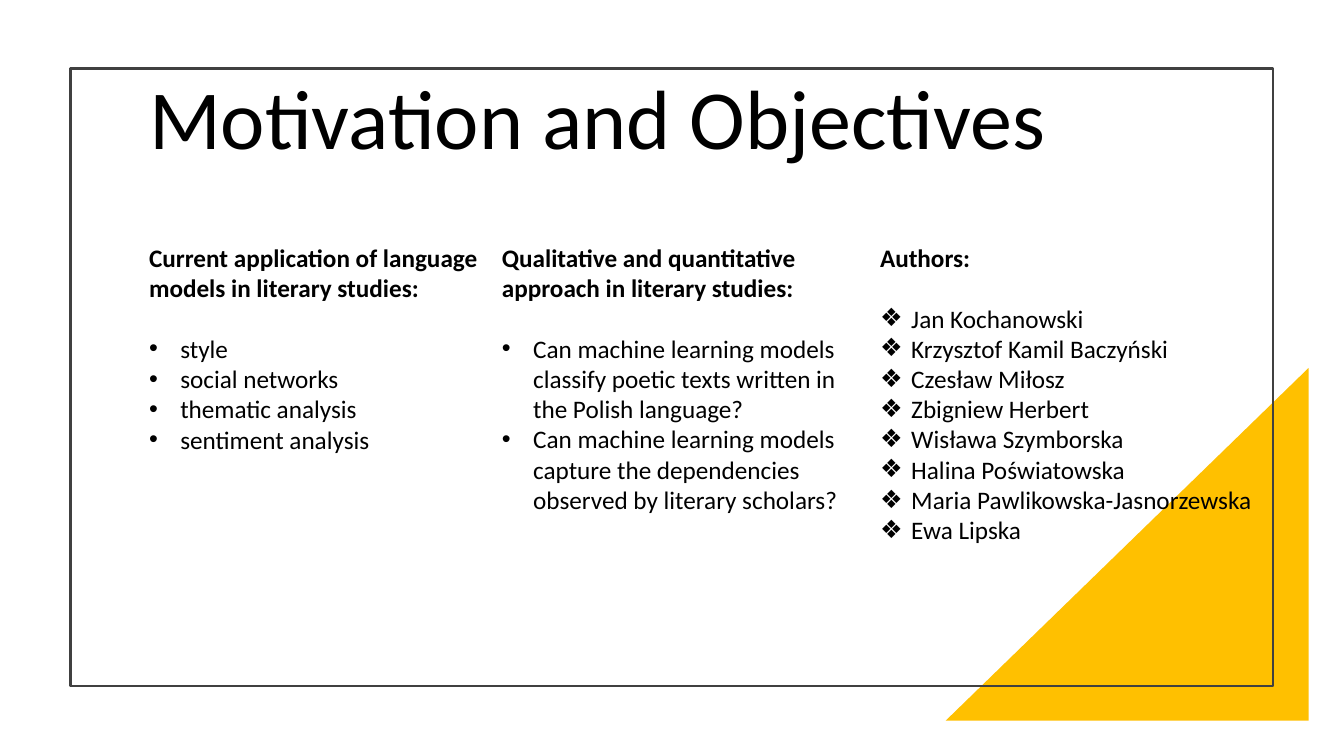
"""Build the Motivation and Objectives slide with three text columns."""
from lxml.etree import SubElement
from pptx import Presentation
from pptx.dml.color import RGBColor
from pptx.enum.shapes import MSO_SHAPE
from pptx.enum.text import MSO_ANCHOR
from pptx.oxml.ns import qn
from pptx.util import Inches, Pt

FONT = "Calibri"
BLACK = RGBColor(0x00, 0x00, 0x00)
GREY = RGBColor(0x40, 0x40, 0x40)
AMBER = RGBColor(0xFF, 0xC0, 0x00)

LEFT, COLUMN_TOP = 1.38, 2.35
INDENT = Inches(0.31)

COLUMNS = [
    (LEFT, 3.57, 2.22, "•", "Current application of language models in literary studies:",
     ["style", "social networks", "thematic analysis", "sentiment analysis"]),
    (LEFT + 3.5, 3.57, 2.83, "•", "Qualitative and quantitative approach in literary studies:",
     ["Can machine learning models classify poetic texts written in the Polish language?",
      "Can machine learning models capture the dependencies observed by literary scholars?"]),
    (LEFT + 7.25, 4, 3.13, "❖", "Authors:",
     ["Jan Kochanowski", "Krzysztof Kamil Baczyński", "Czesław Miłosz", "Zbigniew Herbert",
      "Wisława Szymborska", "Halina Poświatowska", "Maria Pawlikowska-Jasnorzewska",
      "Ewa Lipska"]),
]


def add_text_box(left, top, width, height):
    tf = slide.shapes.add_textbox(
        Inches(left), Inches(top), Inches(width), Inches(height)).text_frame
    tf.word_wrap = True
    return tf


def write(p, text, size, bold=False):
    p.text = text
    font = p.runs[0].font
    font.name, font.size, font.bold = FONT, Pt(size), bold
    font.color.rgb = BLACK


prs = Presentation()
prs.slide_width, prs.slide_height = Inches(13.33), Inches(7.5)
slide = prs.slides.add_slide(prs.slide_layouts[6])

triangle = slide.shapes.add_shape(
    MSO_SHAPE.RIGHT_TRIANGLE, Inches(9.38), Inches(3.65), Inches(3.6), Inches(3.5))
triangle.shadow.inherit = False
triangle.fill.solid()
triangle.fill.fore_color.rgb = AMBER
triangle.line.fill.background()
triangle.element.spPr.xfrm.set("flipH", "1")

frame = slide.shapes.add_shape(
    MSO_SHAPE.RECTANGLE, Inches(0.7), Inches(0.68), Inches(11.93), Inches(6.13))
frame.shadow.inherit = False
frame.fill.background()
frame.line.color.rgb = GREY
frame.line.width = Pt(1.5)

tf = add_text_box(LEFT, 0.77, 10.93, 0.88)
tf.vertical_anchor = MSO_ANCHOR.MIDDLE
tf.paragraphs[0].line_spacing = 0.9
write(tf.paragraphs[0], "Motivation and Objectives", 60)

for left, width, height, bullet, heading, items in COLUMNS:
    tf = add_text_box(left, COLUMN_TOP, width, height)
    write(tf.paragraphs[0], heading, 18, bold=True)
    tf.paragraphs[0].space_after = Pt(22)
    for item in items:
        p = tf.add_paragraph()
        pPr = p._p.get_or_add_pPr()
        pPr.set("marL", str(INDENT))
        pPr.set("indent", str(-INDENT))
        SubElement(pPr, qn("a:buFont")).set("typeface", "Arial")
        SubElement(pPr, qn("a:buChar")).set("char", bullet)
        write(p, item, 18)

prs.save("out.pptx")
